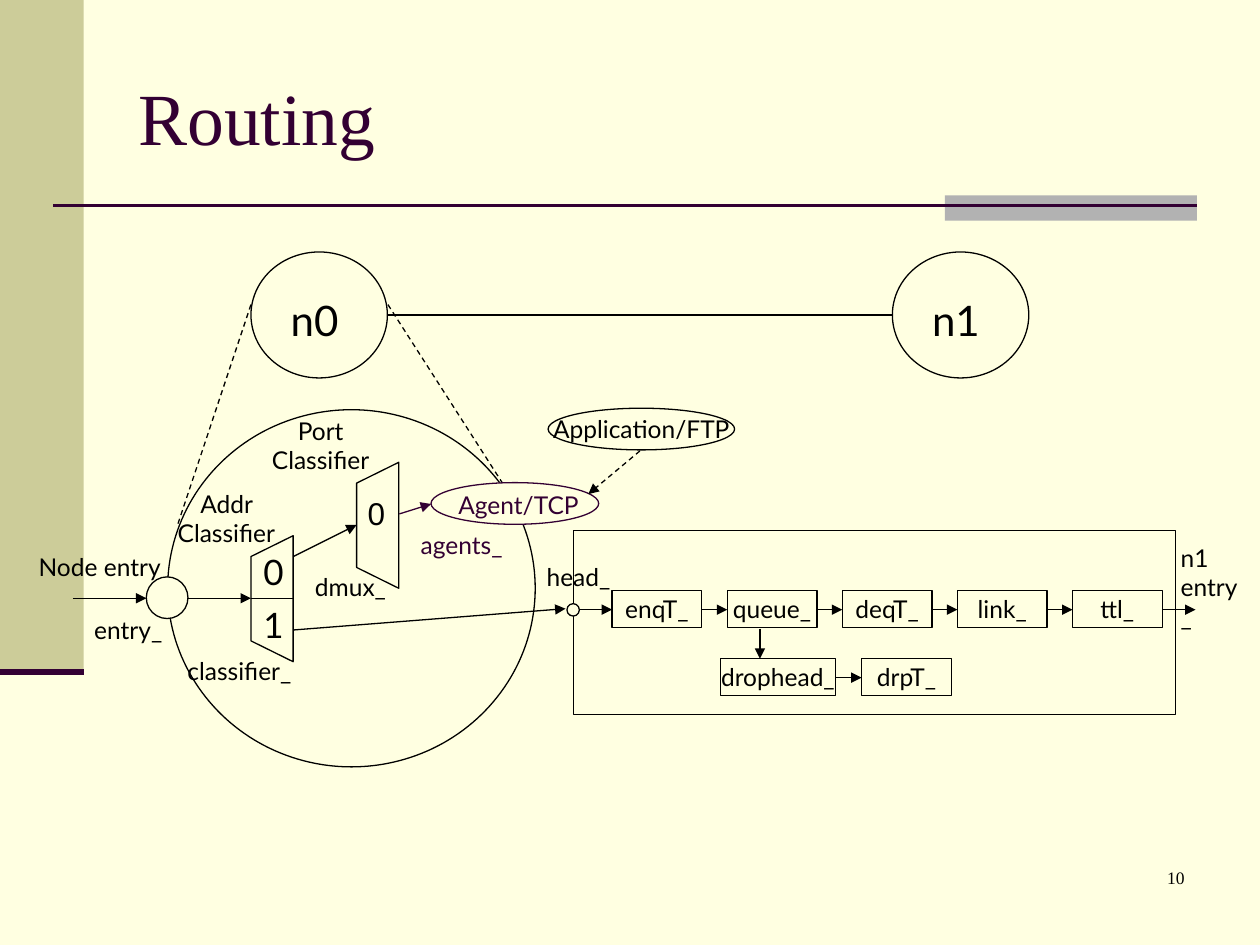
from dataclasses import dataclass

from lxml import etree
from pptx import Presentation
from pptx.dml.color import RGBColor
from pptx.enum.dml import MSO_LINE
from pptx.enum.shapes import MSO_CONNECTOR, MSO_SHAPE
from pptx.enum.text import MSO_ANCHOR, MSO_AUTO_SIZE, PP_ALIGN
from pptx.oxml.ns import qn
from pptx.util import Cm, Pt

LEFT, CENTER, RIGHT = PP_ALIGN.LEFT, PP_ALIGN.CENTER, PP_ALIGN.RIGHT
TOP, MIDDLE = MSO_ANCHOR.TOP, MSO_ANCHOR.MIDDLE
FIT, FIXED = MSO_AUTO_SIZE.SHAPE_TO_FIT_TEXT, MSO_AUTO_SIZE.NONE
OVAL, BOX = MSO_SHAPE.OVAL, MSO_SHAPE.RECTANGLE
STRAIGHT, DASH = MSO_CONNECTOR.STRAIGHT, MSO_LINE.DASH


@dataclass(frozen=True)
class Theme:
    paper: RGBColor = RGBColor(0xFF, 0xFF, 0xE1)
    ink: RGBColor = RGBColor(0, 0, 0)
    plum: RGBColor = RGBColor(0x33, 0x00, 0x33)
    olive: RGBColor = RGBColor(0xCC, 0xCC, 0x99)
    grey: RGBColor = RGBColor(0xB2, 0xB2, 0xB2)
    body: str = "Lato"
    serif: str = "Times New Roman"
    sans: str = "Arial"
    title: int = 42
    node: int = 24
    slot: int = 20
    port: int = 18
    label: int = 14
    page: int = 10
    outline: float = 0.75


theme = Theme()

prs = Presentation()
prs.slide_width, prs.slide_height = Cm(25.4), Cm(19.05)
slide = prs.slides.add_slide(prs.slide_layouts[6])
slide.background.fill.solid()
slide.background.fill.fore_color.rgb = theme.paper
shapes = slide.shapes


def place(text, left, top, width, height=0.86, preset=None, fill=None, line=theme.ink,
          size=theme.label, font=theme.body, color=theme.ink, align=LEFT, anchor=TOP,
          wrap=False, fit=FIT):
    """Add a text box, or an outlined shape when a preset is given."""
    frame = [Cm(v) for v in (left, top, width, height)]
    if preset is None:
        item = shapes.add_textbox(*frame)
    else:
        item = shapes.add_shape(preset, *frame)
        item.shadow.inherit = False
        if fill is None:
            item.fill.background()
        else:
            item.fill.solid()
            item.fill.fore_color.rgb = fill
        if line is None:
            item.line.fill.background()
        else:
            item.line.color.rgb = line
            item.line.width = Pt(theme.outline)
    if text:
        body = item.text_frame
        body.word_wrap, body.auto_size, body.vertical_anchor = wrap, fit, anchor
        paragraph = body.paragraphs[0]
        paragraph.alignment = align
        run = paragraph.add_run()
        run.text = text
        run.font.size, run.font.name = Pt(size), font
        run.font.color.rgb = color


def connect(x1, y1, x2, y2, color=theme.ink, width=theme.outline, dash=None, arrow=True):
    link = shapes.add_connector(STRAIGHT, Cm(x1), Cm(y1), Cm(x2), Cm(y2))
    link.line.color.rgb = color
    link.line.width = Pt(width)
    if dash:
        link.line.dash_style = dash
    properties = link.element.spPr
    if arrow:
        etree.SubElement(properties.find(qn("a:ln")), qn("a:tailEnd"), type="triangle")
    etree.SubElement(properties, qn("a:effectLst"))


# Slide frame and title
place("", 0, 0, 1.69, 13.55, preset=BOX, fill=theme.olive, line=None)
place("", 19.05, 3.94, 5.08, 0.51, preset=BOX, fill=theme.grey, line=None)
connect(1.07, 4.14, 24.13, 4.14, color=theme.plum, width=1.5, arrow=False)
connect(0, 13.55, 1.69, 13.55, color=theme.plum, width=3.5, arrow=False)
place("Routing", 2.54, 0.76, 21.59, 3.18, size=theme.title, font=theme.serif,
      color=theme.plum, anchor=MIDDLE, wrap=True, fit=FIXED)

# Two nodes and their link
connect(7.82, 6.35, 17.99, 6.35, arrow=False)
for node, left in (("n0", 5.06), ("n1", 17.99)):
    place("", left, 5.08, 2.75, 2.54, preset=OVAL)
    place(node, left + 0.55, 5.82, 1.5, 1.27, size=theme.node)

# Inside of node n0
for left, top in ((5.06, 10.8), (7.19, 9.32)):
    right, bottom, slant = left + 0.85, top + 2.54, 0.42
    outline = shapes.build_freeform(Cm(left), Cm(top + slant))
    outline.add_line_segments([(Cm(x), Cm(y)) for x, y in (
        (right, top), (right, bottom), (left, bottom - slant))], close=True)
    classifier = outline.convert_to_shape()
    classifier.shadow.inherit = False
    classifier.fill.background()
    classifier.line.color.rgb = theme.ink
    classifier.line.width = Pt(theme.outline)
place("", 3.38, 8.26, 7.41, 7.2, preset=OVAL)
place("", 2.95, 11.63, 0.84, 0.84, preset=OVAL, fill=theme.paper)

for caption, left, top in (("Addr Classifier", 2.95, 9.73), ("Port Classifier", 4.85, 8.26)):
    place(caption, left, top, 3.23, 1.45, align=CENTER, wrap=True)
for caption, left, top, width in (
        ("classifier_", 3.53, 13.11, 2.74),
        ("dmux_", 6.1, 11.4, 2.06),
        ("entry_", 1.65, 12.27, 1.93),
        ("Node entry", 0.53, 11, 3.12)):
    place(caption, left, top, width)
for slot, top in (("0", 10.97), ("1", 12.04)):
    place(slot, 5.06, top, 0.91, 1.12, size=theme.slot)
place("0", 7.16, 9.83, 0.86, 1.02, size=theme.port, font=theme.sans)

connect(1.47, 12.06, 2.95, 12.06)
connect(3.79, 12.06, 5.06, 12.06)
connect(5.91, 11.22, 7.19, 10.58)
connect(5.06, 12.06, 5.91, 12.06, arrow=False)
connect(5.06, 6.14, 3.58, 10.58, dash=DASH, arrow=False)
connect(7.82, 6.14, 10.13, 9.74, dash=DASH, arrow=False)

# Link from n0 to n1: a chain of stages with a drop branch
place("", 11.56, 10.69, 12.14, 3.71, preset=BOX)
place("", 11.43, 12.17, 0.25, 0.25, preset=OVAL, fill=theme.paper)
stage_left, stage_pitch, stage_width, chain_y = 12.34, 2.32, 1.81, 12.29
boxes = [(stage, stage_left + i * stage_pitch, 11.91, stage_width)
         for i, stage in enumerate(("enqT_", "queue_", "deqT_", "link_", "ttl_"))]
starts = [11.68] + [left + stage_width for _, left, _, _ in boxes]
ends = [left for _, left, _, _ in boxes] + [24.1]
for start, end in zip(starts, ends):
    connect(start, chain_y, end, chain_y)
boxes += [("drophead_", 14.53, 13.28, 2.31), ("drpT_", 17.37, 13.28, stage_width)]
for stage, left, top, width in boxes:
    place(stage, left, top, width, 0.74, preset=BOX, align=CENTER, anchor=MIDDLE, fit=FIXED)
connect(15.32, 12.67, 15.32, 13.28)
connect(16.86, 13.66, 17.37, 13.66)
connect(5.91, 12.7, 11.4, 12.27)
place("n1 entry_", 23.55, 10.82, 1.83, 2.03, wrap=True)
place("head_", 10.77, 11.2, 1.88)

# Agent and application
place("", 8.69, 9.73, 3.38, 0.84, preset=OVAL, fill=theme.paper, line=theme.plum)
place("Agent/TCP", 8.99, 9.75, 2.97, color=theme.plum)
place("agents_", 8.23, 10.57, 2.31, color=theme.plum)
connect(8.05, 10.36, 8.69, 10.16, color=theme.plum)
place("", 11.05, 8.23, 3.76, 0.84, preset=OVAL, fill=theme.paper)
place("Application/FTP", 10.9, 8.23, 4.14)
connect(12.9, 9.09, 11.86, 9.96, dash=DASH)

place("10", 18.85, 17.35, 5.28, 1.27, size=theme.page, font=theme.serif,
      align=RIGHT, wrap=True, fit=FIXED)

prs.save("out.pptx")
